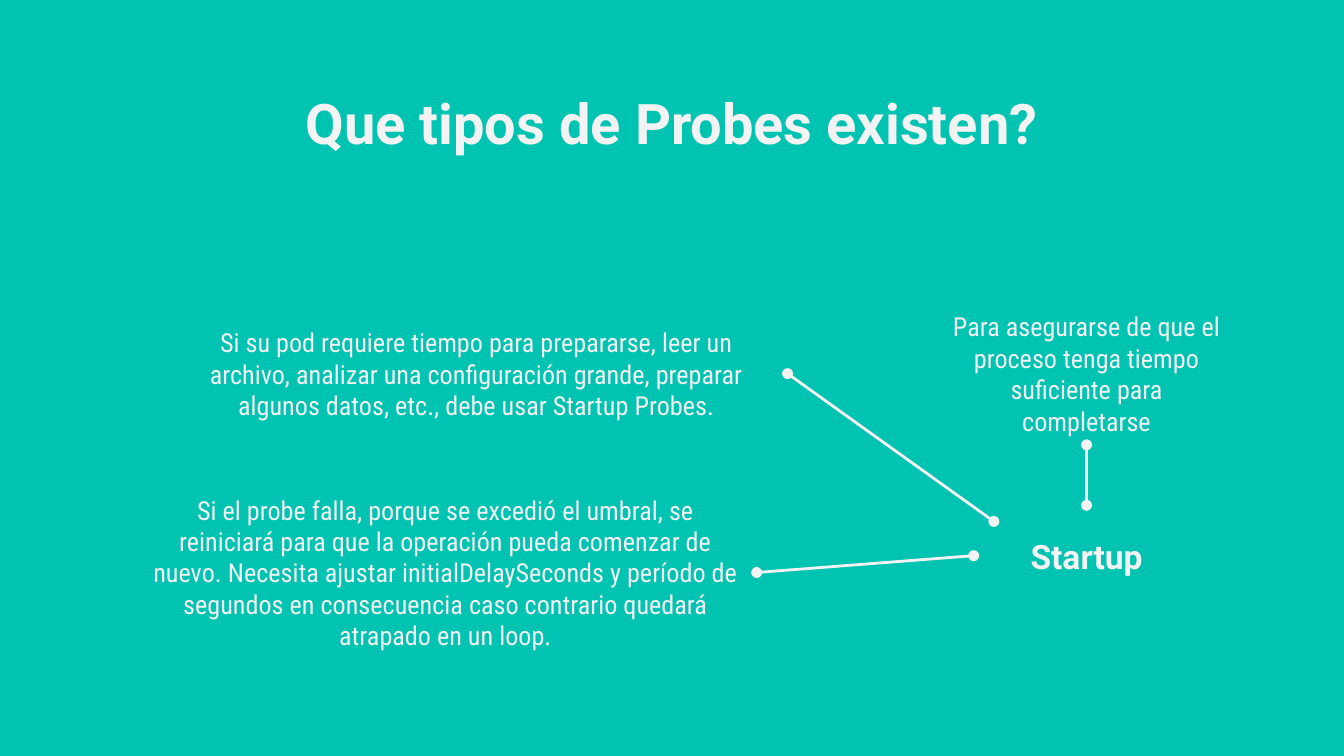
from lxml import etree
from pptx import Presentation, util as u
from pptx.dml import color
from pptx.enum import shapes, text
from pptx.oxml import ns

WIDTH = u.Inches(10)
HEIGHT = u.Emu(WIDTH * 9 // 16)
CELL = WIDTH / 100
BACKGROUND, INK = "00C3B1", "F3F3F3"
TOP, LEFT, BOTTOM, RIGHT = range(4)
HEADING = {"name": "Roboto", "size": u.Pt(30), "bold": True}
TOPIC = {"name": "Roboto", "size": u.Pt(18), "bold": True}
BODY = {"name": "Roboto Condensed", "size": u.Pt(14), "bold": False}

PURPOSE = "Para asegurarse de que el proceso tenga tiempo suficiente para completarse"
USAGE = ("Si su pod requiere tiempo para prepararse, leer un archivo, analizar una "
         "configuración grande, preparar algunos datos, etc., debe usar Startup Probes.")
FAILURE = ("Si el probe falla, porque se excedió el umbral, se reiniciará para que la "
           "operación pueda comenzar de nuevo. Necesita ajustar initialDelaySeconds y "
           "período de segundos en consecuencia caso contrario quedará atrapado en un loop.")


def rgb(value):
    """Turn a hex string into a colour."""
    return color.RGBColor.from_string(value)


def cells(*counts):
    """Turn counts of grid cells into lengths."""
    return [u.Emu(round(count * CELL)) for count in counts]


def add_label(slide, box, words, font, inset=1, after=0, anchor=text.MSO_ANCHOR.MIDDLE):
    """Place centred text in a box given in grid cells."""
    label = slide.shapes.add_textbox(*cells(*box))
    margin, = cells(inset)
    frame_format = {"word_wrap": True, "vertical_anchor": anchor,
                    **{f"margin_{side}": margin for side in ("left", "top", "right", "bottom")}}
    for key, value in frame_format.items():
        setattr(label.text_frame, key, value)
    paragraph = label.text_frame.paragraphs[0]
    paragraph.alignment = text.PP_ALIGN.CENTER
    paragraph.space_after = u.Pt(after)
    run = paragraph.add_run()
    run.text = words
    for key, value in font.items():
        setattr(run.font, key, value)
    run.font.color.rgb = rgb(INK)
    return label


def add_link(slide, begin=(0, 0)):
    """Draw a line with round ends from a point given in grid cells."""
    start = cells(*begin)
    link = slide.shapes.add_connector(shapes.MSO_CONNECTOR.STRAIGHT, *start, *start)
    link.line.color.rgb = rgb(INK)
    link.line.width = u.Pt(1.5)
    outline = link.line._get_or_add_ln()
    for end in ("a:headEnd", "a:tailEnd"):
        etree.SubElement(outline, ns.qn(end), type="oval")
    etree.SubElement(link._element.spPr, ns.qn("a:effectLst"))
    return link


def add_heading(slide, box):
    """Place the slide's question in its box."""
    add_label(slide, box, "Que tipos de Probes existen?", HEADING,
              anchor=text.MSO_ANCHOR.TOP)


def add_startup_map(slide, box):
    """Place the startup probe and its three linked remarks in a box."""
    x, y, width, height = box
    remark_height = 10.6
    remark_width = 46.3
    purpose_width = 22.5
    purpose_x = x + width - purpose_width
    topic_width, topic_height = 16.8, 7.5
    topic_x = purpose_x + (purpose_width - topic_width) / 2
    topic_y = y + 15.1

    purpose, usage, failure = [
        add_label(slide, (*place, remark_height), words, BODY, after=16)
        for place, words in (
            ((purpose_x, y, purpose_width), PURPOSE),
            ((x + 2.3, y, remark_width), USAGE),
            ((x, y + height - remark_height, remark_width), FAILURE))]
    startup = add_label(slide, (topic_x, topic_y, topic_width, topic_height),
                        "Startup", TOPIC, inset=0)

    for side, remark, remark_side in ((TOP, purpose, BOTTOM), (LEFT, failure, RIGHT)):
        link = add_link(slide)
        link.begin_connect(startup, side)
        link.end_connect(remark, remark_side)
    add_link(slide, (topic_x + 1.5, topic_y + 1.2)).end_connect(usage, RIGHT)


def main():
    """Build and save the slide."""
    deck = Presentation()
    deck.slide_width, deck.slide_height = WIDTH, HEIGHT
    slide = deck.slides.add_slide(deck.slide_layouts[6])
    slide.background.fill.solid()
    slide.background.fill.fore_color.rgb = rgb(BACKGROUND)
    add_heading(slide, (7.85, 5.6, 84.3, 6.3))
    add_startup_map(slide, (10, 22.5, 82.1, 25.4))
    deck.save("out.pptx")


if __name__ == "__main__":
    main()
